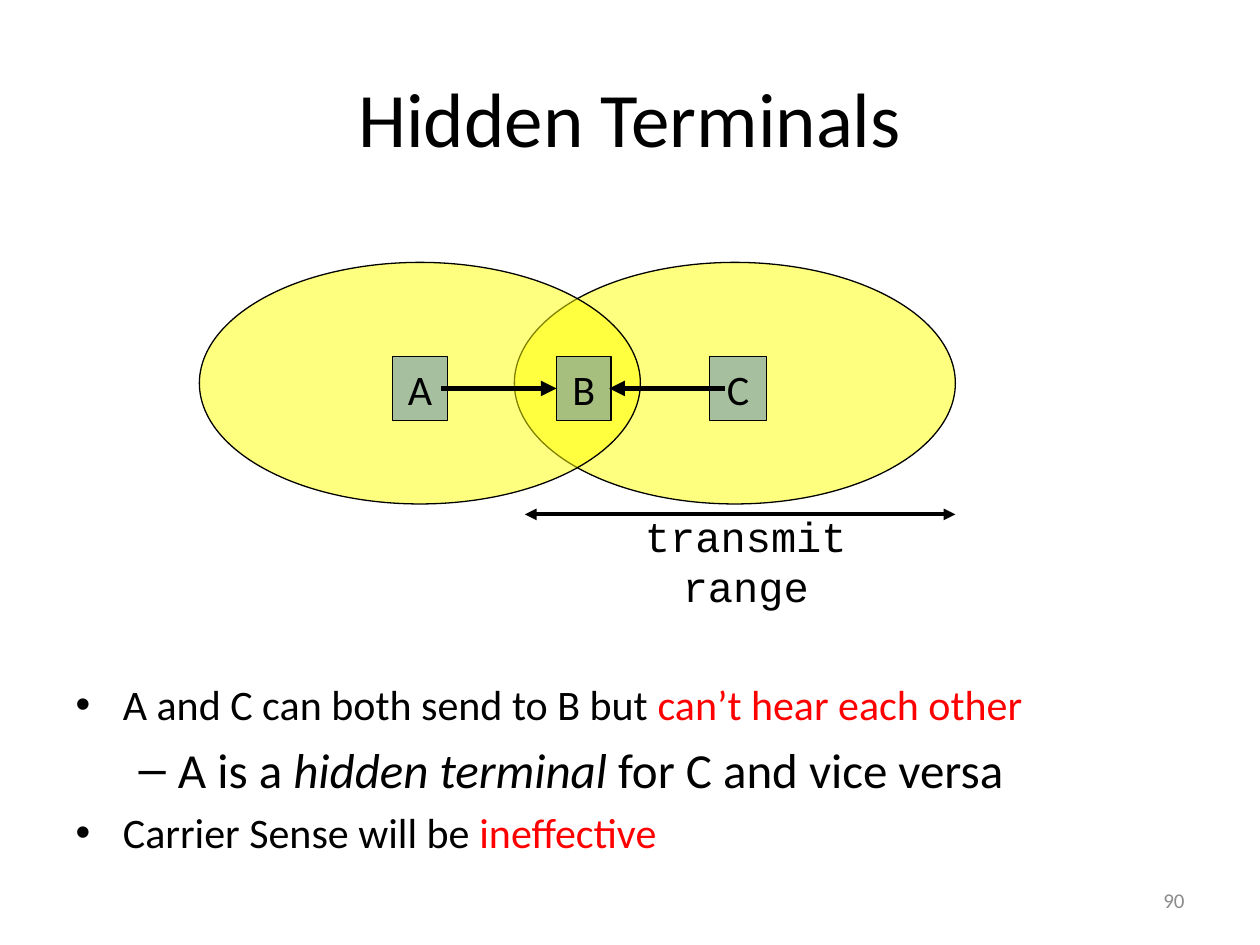
from lxml.etree import SubElement
from pptx import Presentation
from pptx.dml.color import RGBColor
from pptx.enum.shapes import MSO_CONNECTOR as Connector, MSO_SHAPE as Shape
from pptx.enum.text import MSO_ANCHOR as Anchor, MSO_AUTO_SIZE as AutoSize, PP_ALIGN as Align
from pptx.oxml.ns import qn
from pptx.util import Cm, Pt

COLORS = {"black": "000000", "red": "FF0000", "yellow": "FFFF00",
          "blue": "4F81BD", "gray": "8C8C8C"}
TITLE = "Hidden Terminals"
BULLETS = [
    (0, 24, [("A and C can both send to B but ", "black", False),
             ("can’t hear each other", "red", False)]),
    (1, 28, [("A is a ", "black", False), ("hidden terminal", "black", True),
             (" for C and vice versa", "black", False)]),
    (0, 24, [("Carrier Sense will be ", "black", False),
             ("ineffective", "red", False)]),
]
RANGE_LEFTS = [10.37, 4.02]
RANGE_TOP, RANGE_WIDTH, RANGE_HEIGHT = 5.29, 8.89, 4.87
TERMINALS = [("A", 7.92, 1.1), ("B", 11.22, 1.1), ("C", 14.31, 1.14)]
TERMINAL_TOP, TERMINAL_HEIGHT = 7.19, 1.29
ARROWS = [(8.89, 11.22, 7.83, 3, ["tailEnd"]),
          (14.61, 12.28, 7.83, 3, ["tailEnd"]),
          (10.58, 19.26, 10.37, 2.25, ["headEnd", "tailEnd"])]
LABELS = [("transmit range", (12.07, 10.16, 5.93, 2.3), "Courier New", 24, "black",
           Align.CENTER, Anchor.TOP),
          ("90", (18.2, 17.65, 5.93, 1.01), "Calibri", 12, "gray",
           Align.RIGHT, Anchor.MIDDLE)]


def color(name):
    return RGBColor.from_string(COLORS[name])


def style(font, size, name="black", family="Calibri"):
    font.name, font.size = family, Pt(size)
    font.color.rgb = color(name)


def place(shape, left, top, width, height):
    shape.left, shape.top = Cm(left), Cm(top)
    shape.width, shape.height = Cm(width), Cm(height)


def write(shape, text, size, name="black", family="Calibri",
          align=Align.CENTER, anchor=Anchor.MIDDLE, wrap=True):
    frame = shape.text_frame
    frame.text = text
    frame.word_wrap, frame.auto_size = wrap, AutoSize.NONE
    frame.vertical_anchor = anchor
    paragraph = frame.paragraphs[0]
    paragraph.alignment = align
    style(paragraph.runs[0].font, size, name, family)


def add_glass(slide, kind, box, fill):
    shape = slide.shapes.add_shape(kind, *map(Cm, box))
    shape.shadow.inherit = False
    shape.fill.solid()
    shape.fill.fore_color.rgb = color(fill)
    tint = shape.fill._xPr.find(qn("a:solidFill"))[0]
    SubElement(tint, qn("a:alpha"), val="50000")
    shape.line.color.rgb = color("black")
    shape.line.width = Pt(0.75)
    return shape


def add_arrow(slide, start, end, height, width, heads):
    arrow = slide.shapes.add_connector(
        Connector.STRAIGHT, Cm(start), Cm(height), Cm(end), Cm(height))
    arrow.line.color.rgb = color("black")
    arrow.line.width = Pt(width)
    for head in heads:
        SubElement(arrow.line._get_or_add_ln(), qn("a:" + head), type="triangle")
    SubElement(arrow._element.spPr, qn("a:effectLst"))


def fill_body(body):
    frame = body.text_frame
    frame.auto_size = AutoSize.NONE
    for index, (level, size, pieces) in enumerate(BULLETS):
        paragraph = frame.add_paragraph() if index else frame.paragraphs[0]
        paragraph.level = level
        paragraph.space_before = Pt(size * 0.2 if index else 0)
        for text, name, italic in pieces:
            run = paragraph.add_run()
            run.text = text
            style(run.font, size, name)
            run.font.italic = italic


def main():
    presentation = Presentation()
    presentation.slide_width, presentation.slide_height = Cm(25.4), Cm(19.05)
    slide = presentation.slides.add_slide(presentation.slide_layouts[1])
    title, body = slide.placeholders
    place(title, 1.27, 0.76, 22.86, 3.18)
    write(title, TITLE, 44)
    place(body, 1.27, 13.56, 22.86, 3.86)
    fill_body(body)

    for left in RANGE_LEFTS:
        add_glass(slide, Shape.OVAL, (left, RANGE_TOP, RANGE_WIDTH, RANGE_HEIGHT), "yellow")
    for name, left, width in TERMINALS:
        terminal = add_glass(slide, Shape.RECTANGLE,
                             (left, TERMINAL_TOP, width, TERMINAL_HEIGHT), "blue")
        write(terminal, name, 24, wrap=False)
    for arrow in ARROWS:
        add_arrow(slide, *arrow)
    for text, box, family, size, name, align, anchor in LABELS:
        label = slide.shapes.add_textbox(*map(Cm, box))
        write(label, text, size, name, family, align, anchor)

    presentation.save("out.pptx")


if __name__ == "__main__":
    main()
